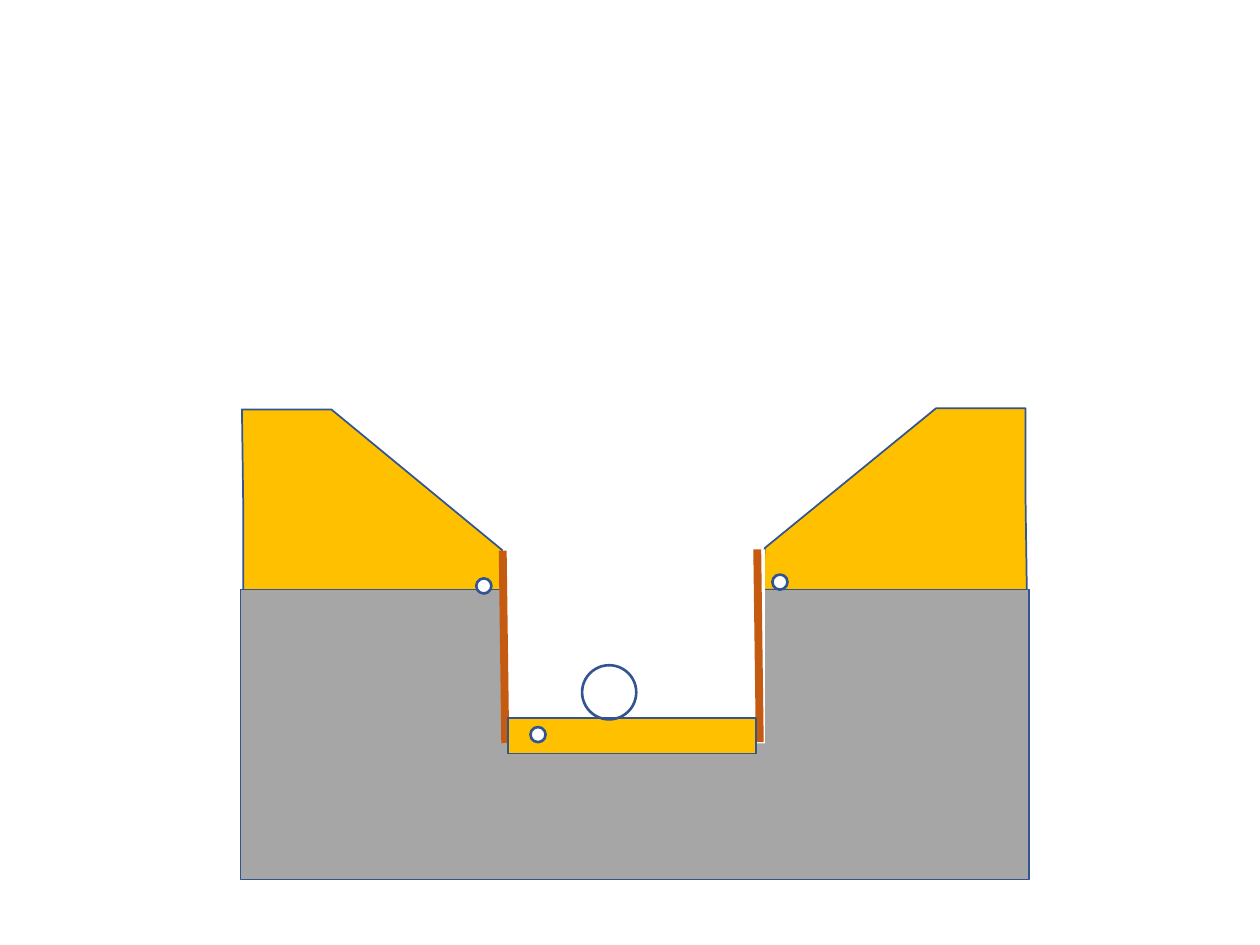
from typing import NamedTuple, Optional

from lxml.etree import SubElement
from pptx import Presentation
from pptx.dml.color import RGBColor
from pptx.enum.shapes import MSO_CONNECTOR, MSO_SHAPE
from pptx.oxml.ns import qn
from pptx.util import Pt

PX = 9144
OUTLINE = "325491"
SAND = "FFC000"
GROUND = "A6A6A6"
WHITE = "FFFFFF"
SHEETING = "C55A11"
DRAIN_SIZE = 12


class Block(NamedTuple):
    preset: MSO_SHAPE
    left: int
    top: int
    width: int
    height: int
    fill: Optional[str]
    outline_width: float


class Wall(NamedTuple):
    left: int
    top: int
    right: int
    bottom: int


def color(value: str) -> RGBColor:
    return RGBColor.from_string(value)


def style(shape, fill: Optional[str], outline_width: float) -> None:
    shape.shadow.inherit = False
    if fill:
        shape.fill.solid()
        shape.fill.fore_color.rgb = color(fill)
    else:
        shape.fill.background()
    if outline_width:
        shape.line.color.rgb = color(OUTLINE)
        shape.line.width = Pt(outline_width)
    else:
        shape.line.fill.background()


def draw_bank(slide, corners: list[tuple[int, int]]) -> None:
    builder = slide.shapes.build_freeform(*corners[0], scale=PX)
    builder.add_line_segments(corners[1:], close=True)
    style(builder.convert_to_shape(), SAND, 1)


def draw_block(slide, block: Block) -> None:
    bounds = (block.left, block.top, block.width, block.height)
    shape = slide.shapes.add_shape(block.preset, *(length * PX for length in bounds))
    style(shape, block.fill, block.outline_width)


def draw_wall(slide, wall: Wall) -> None:
    line = slide.shapes.add_connector(
        MSO_CONNECTOR.STRAIGHT, *(length * PX for length in wall)
    )
    line.line.color.rgb = color(SHEETING)
    line.line.width = Pt(4.5)
    SubElement(line._element.spPr, qn("a:effectLst"))


def drain(left: int, top: int) -> Block:
    return Block(MSO_SHAPE.OVAL, left, top, DRAIN_SIZE, DRAIN_SIZE, WHITE, 1.5)


BANKS = [
    [(815, 470), (605, 468), (607, 435), (743, 324), (814, 324), (814, 397)],
    [(193, 471), (401, 470), (399, 437), (263, 325), (192, 325), (193, 398)],
]
EXCAVATION = [
    Block(MSO_SHAPE.RECTANGLE, 191, 468, 626, 230, GROUND, 1),
    Block(MSO_SHAPE.RECTANGLE, 399, 436, 208, 154, WHITE, 0),
]
WALLS = [Wall(399, 437, 401, 590), Wall(601, 436, 603, 589)]
BEDDING_AND_PIPES = [
    Block(MSO_SHAPE.RECTANGLE, 403, 570, 197, 28, SAND, 1),
    Block(MSO_SHAPE.OVAL, 462, 528, 43, 43, None, 1.5),
    drain(421, 577),
    drain(378, 459),
    drain(613, 456),
]


def main() -> None:
    presentation = Presentation()
    presentation.slide_width = 1000 * PX
    presentation.slide_height = 750 * PX
    slide = presentation.slides.add_slide(presentation.slide_layouts[6])
    for bank in BANKS:
        draw_bank(slide, bank)
    for block in EXCAVATION:
        draw_block(slide, block)
    for wall in WALLS:
        draw_wall(slide, wall)
    for block in BEDDING_AND_PIPES:
        draw_block(slide, block)
    presentation.save("out.pptx")


if __name__ == "__main__":
    main()
